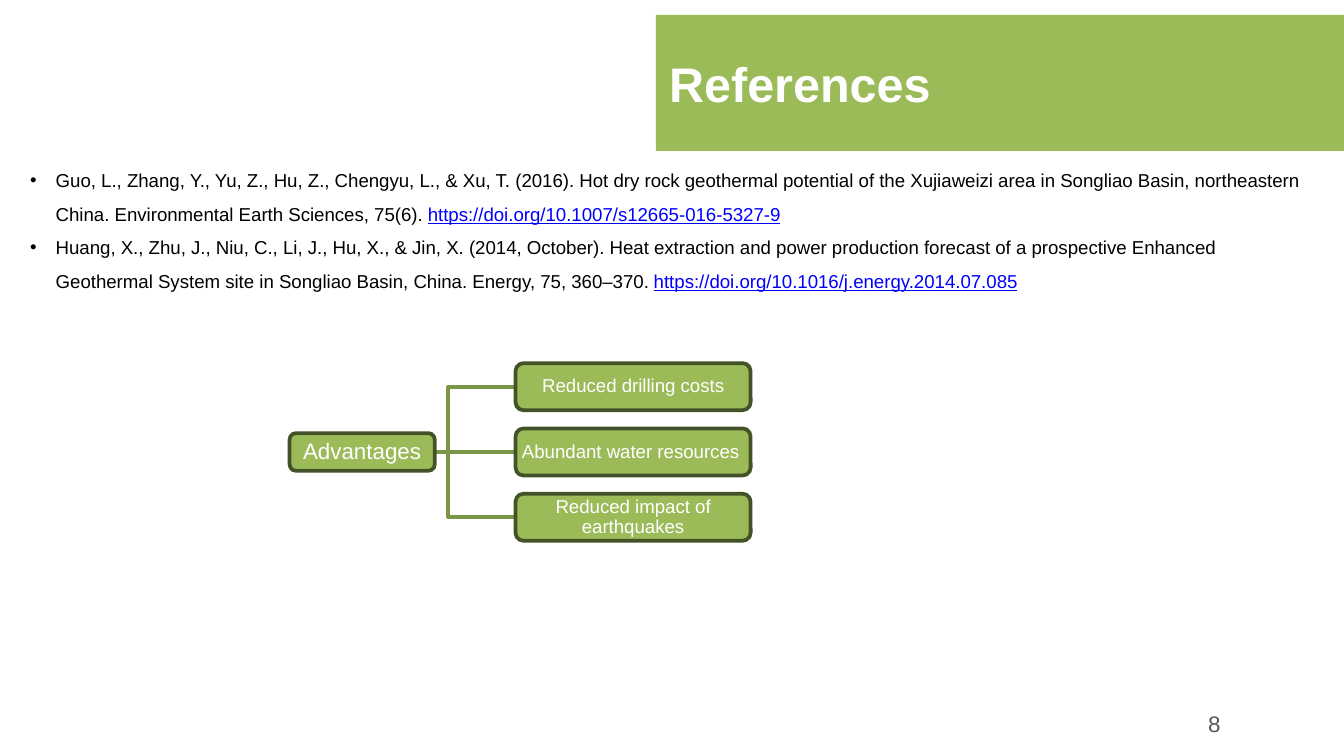
import pptx
import pptx.dml.color
import pptx.enum.shapes
import pptx.enum.text
import pptx.oxml
import pptx.oxml.ns
import pptx.util

SHAPE = pptx.enum.shapes.MSO_SHAPE
ALIGN = pptx.enum.text.PP_ALIGN
ANCHOR = pptx.enum.text.MSO_ANCHOR

THEME = {
    "font": "Arial",
    "green": "9BBB59", "edge": "445227", "branch": "7C9647",
    "white": "FFFFFF", "ink": "000000", "link": "0000FF", "grey": "595959",
    "title": 26, "root": 12, "number": 12, "body": 10, "line": 2,
}

REFERENCES = [
    ("Guo, L., Zhang, Y., Yu, Z., Hu, Z., Chengyu, L., & Xu, T. (2016). Hot dry rock geothermal "
     "potential of the Xujiaweizi area in Songliao Basin, northeastern China. "
     "Environmental Earth Sciences, 75(6). ",
     "https://doi.org/10.1007/s12665-016-5327-9"),
    ("Huang, X., Zhu, J., Niu, C., Li, J., Hu, X., & Jin, X. (2014, October). Heat extraction and "
     "power production forecast of a prospective Enhanced Geothermal System site in Songliao "
     "Basin, China. Energy, 75, 360–370. ",
     "https://doi.org/10.1016/j.energy.2014.07.085"),
]
ADVANTAGES = ["Reduced drilling costs", "Abundant water resources ", "Reduced impact of earthquakes"]


def within(box, x, y, w, h):
    """Box at the given percentages of another box."""
    left, top, width, height = box
    return (round(left + width * x / 100), round(top + height * y / 100),
            round(width * w / 100), round(height * h / 100))


def rgb(name):
    return pptx.dml.color.RGBColor.from_string(THEME[name])


def set_all(obj, values):
    for name, value in values.items():
        setattr(obj, name, value)


def add_run(p, text, size, color, **extra):
    r = p.add_run()
    r.text = text
    set_all(r.font, {"name": THEME["font"], "size": pptx.util.Pt(THEME[size]), **extra})
    r.font.color.rgb = rgb(color)


def set_frame(tf, margins=(0.1, 0.05), anchor=ANCHOR.MIDDLE):
    side, end = (pptx.util.Inches(m) for m in margins)
    set_all(tf, {"word_wrap": True, "vertical_anchor": anchor, "margin_left": side,
                 "margin_right": side, "margin_top": end, "margin_bottom": end})


def set_line(sp, color):
    sp.line.color.rgb = rgb(color)
    sp.line.width = pptx.util.Pt(THEME["line"])


def add_panel(slide, kind, box, edge=None):
    sp = slide.shapes.add_shape(kind, *box)
    sp.shadow.inherit = False
    sp.fill.solid()
    sp.fill.fore_color.rgb = rgb("green")
    if edge:
        set_line(sp, edge)
    else:
        sp.line.fill.background()
    return sp


def add_title(slide, box):
    sp = add_panel(slide, SHAPE.RECTANGLE, box)
    set_frame(sp.text_frame)
    p = sp.text_frame.paragraphs[0]
    p.alignment = ALIGN.LEFT
    add_run(p, "References", "title", "white", bold=True)


def add_number(slide, box):
    tf = slide.shapes.add_textbox(*box).text_frame
    set_frame(tf)
    p = tf.paragraphs[0]
    p.alignment = ALIGN.RIGHT
    add_run(p, "8", "number", "grey")


def add_bullet(p, indent):
    pPr = p._p.get_or_add_pPr()
    pPr.set("marL", str(indent))
    pPr.set("indent", str(-indent))
    ns = pptx.oxml.ns.nsdecls("a")
    for xml in (f'<a:buClr {ns}><a:srgbClr val="{THEME["ink"]}"/></a:buClr>',
                f'<a:buFont {ns} typeface="{THEME["font"]}"/>',
                f'<a:buChar {ns} char="•"/>'):
        pPr.append(pptx.oxml.parse_xml(xml))


def add_references(slide, box):
    tf = slide.shapes.add_textbox(*box).text_frame
    set_frame(tf, anchor=ANCHOR.TOP)
    for i, (citation, address) in enumerate(REFERENCES):
        p = tf.add_paragraph() if i else tf.paragraphs[0]
        p.line_spacing = 1.5
        add_bullet(p, pptx.util.Inches(0.19))
        add_run(p, citation, "body", "ink")
        add_run(p, address, "body", "link", underline=True)


def add_node(slide, box, text, size):
    sp = add_panel(slide, SHAPE.ROUNDED_RECTANGLE, box, "edge")
    sp.adjustments[0] = 0.17
    set_frame(sp.text_frame, (0.02, 0.02))
    p = sp.text_frame.paragraphs[0]
    set_all(p, {"alignment": ALIGN.CENTER, "line_spacing": 0.9})
    add_run(p, text, size, "white")


def add_branch(slide, root, leaf, trunk):
    """Line from the right side of the root to the left side of a leaf."""
    start, end = root.left + root.width, leaf.left
    y0, y1 = (sp.top + sp.height // 2 for sp in (root, leaf))
    if abs(y1 - y0) < pptx.util.Pt(1):
        sp = slide.shapes.add_connector(pptx.enum.shapes.MSO_CONNECTOR.STRAIGHT, start, y0, end, y1)
        sp.begin_connect(root, 3)
        sp.end_connect(leaf, 1)
        sp._element.spPr.append(pptx.oxml.parse_xml(
            f'<a:effectLst {pptx.oxml.ns.nsdecls("a")}/>'))
    else:
        builder = slide.shapes.build_freeform(start, y0)
        builder.add_line_segments([(trunk, y0), (trunk, y1), (end, y1)], close=False)
        sp = builder.convert_to_shape()
        sp.shadow.inherit = False
        sp.fill.background()
    set_line(sp, "branch")
    # Branches lie behind the nodes
    root._element.addprevious(sp._element)


def add_tree(slide, box):
    first = len(slide.shapes)
    add_node(slide, within(box, 0, 39.4, 31.5, 21.2), "Advantages", "root")
    # Leaves: equal rows from top to bottom of the box
    height = 26.5
    pitch = (100 - height) / (len(ADVANTAGES) - 1)
    for i, text in enumerate(ADVANTAGES):
        add_node(slide, within(box, 49, i * pitch, 51, height), text, "body")
    root, *leaves = list(slide.shapes)[first:]
    trunk = within(box, 34.4, 0, 0, 0)[0]
    for leaf in leaves:
        add_branch(slide, root, leaf, trunk)


def main():
    prs = pptx.Presentation()
    # Widescreen, 16 by 9
    prs.slide_width = pptx.util.Inches(10)
    prs.slide_height = prs.slide_width * 9 // 16
    slide = prs.slides.add_slide(prs.slide_layouts[6])
    page = (0, 0, prs.slide_width, prs.slide_height)
    add_title(slide, within(page, 48.8, 1.98, 51.2, 18))
    add_number(slide, within(page, 71.8, 93.5, 20, 4.45))
    add_references(slide, within(page, 1.26, 20, 97.5, 27))
    add_tree(slide, within(page, 21.55, 48.04, 34.3, 23.5))
    prs.save("out.pptx")


if __name__ == "__main__":
    main()
